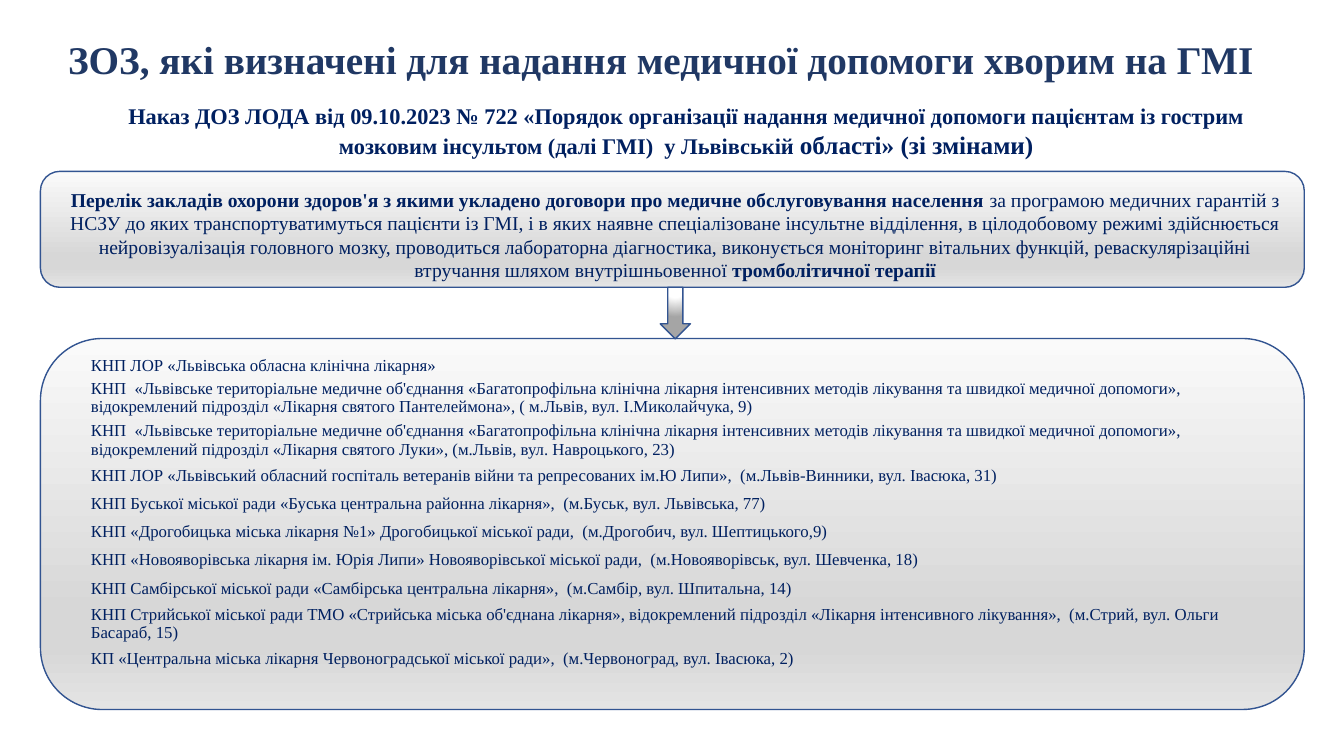
from dataclasses import dataclass

from lxml import etree
from pptx import Presentation
from pptx.dml.color import RGBColor
from pptx.enum import shapes, text
from pptx.oxml.ns import qn
from pptx.util import Cm, Pt


@dataclass(frozen=True)
class Theme:
    font: str = "Times New Roman"
    heading: str = "203864"
    body: str = "002060"
    outline: str = "325491"
    panel: tuple = ((0, "FAFAFA"), (74, "D7D7D7"), (83, "D7D7D7"), (100, "E4E4E4"))
    arrow: tuple = ((0, "FFFFFF"), (35, "FFFFFF"), (100, "A5A5A5"))
    title_size: int = 28
    order_size: int = 16
    order_end_size: int = 18
    criteria_size: int = 14
    table_size: int = 12


THEME = Theme()
PLAIN_TABLE_STYLE = "{2D5ABB26-0587-4C30-8999-92F81FD0307C}"
ONE_LINE, SPACED_LINE, TWO_LINES = 0.36, 0.71, 1.07

TITLE = "ЗОЗ, які визначені для надання медичної допомоги хворим на ГМІ"
ORDER = (
    "Наказ ДОЗ ЛОДА від 09.10.2023 № 722 «Порядок організації надання медичної допомоги "
    "пацієнтам із гострим мозковим інсультом (далі ГМІ)  у Львівській ")
ORDER_END = "області» (зі змінами)"
CRITERIA_LEAD = (
    "Перелік закладів охорони здоров'я з якими укладено договори "
    "про медичне обслуговування населення ")
CRITERIA = (
    "за програмою медичних гарантій з НСЗУ до яких транспортуватимуться пацієнти із ГМІ, "
    "і в яких наявне спеціалізоване інсультне відділення, в цілодобовому режимі здійснюється "
    "нейровізуалізація головного мозку, проводиться лабораторна діагностика, виконується "
    "моніторинг вітальних функцій, реваскулярізаційні втручання шляхом внутрішньовенної ")
CRITERIA_END = "тромболітичної терапії"
UNION = (
    "КНП  «Львівське територіальне медичне об'єднання «Багатопрофільна клінічна лікарня "
    "інтенсивних методів лікування та швидкої медичної допомоги», ")
HOSPITALS = [
    (ONE_LINE, "КНП ЛОР «Львівська обласна клінічна лікарня»"),
    (TWO_LINES, UNION + " відокремлений підрозділ «Лікарня святого Пантелеймона», "
                        "( м.Львів, вул. І.Миколайчука, 9)"),
    (TWO_LINES, UNION + "відокремлений підрозділ «Лікарня святого Луки», "
                        "(м.Львів, вул. Навроцького, 23)"),
    (SPACED_LINE, "КНП ЛОР «Львівський обласний госпіталь ветеранів війни та репресованих "
                  "ім.Ю Липи»,  (м.Львів-Винники, вул. Івасюка, 31)"),
    (SPACED_LINE, "КНП Буської міської ради «Буська центральна районна лікарня»,  "
                  "(м.Буськ, вул. Львівська, 77)"),
    (SPACED_LINE, "КНП «Дрогобицька міська лікарня №1» Дрогобицької міської ради,  "
                  "(м.Дрогобич, вул. Шептицького,9)"),
    (SPACED_LINE, "КНП «Новояворівська лікарня ім. Юрія Липи» Новояворівської міської ради,  "
                  "(м.Новояворівськ, вул. Шевченка, 18)"),
    (SPACED_LINE, "КНП Самбірської міської ради «Самбірська центральна лікарня»,  "
                  "(м.Самбір, вул. Шпитальна, 14)"),
    (TWO_LINES, "КНП Стрийської міської ради ТМО «Стрийська міська об'єднана лікарня», "
                "відокремлений підрозділ «Лікарня інтенсивного лікування»,  "
                "(м.Стрий, вул. Ольги Басараб, 15)"),
    (SPACED_LINE, "КП «Центральна міська лікарня Червоноградської міської ради»,  "
                  "(м.Червоноград, вул. Івасюка, 2)"),
]


def set_font(font, size, color):
    font.name = THEME.font
    font.size = Pt(size)
    font.color.rgb = RGBColor.from_string(color)


def set_gradient(shape, stops, circular):
    shape.fill.gradient()
    gradient = shape.element.spPr.find(qn("a:gradFill"))
    for child in list(gradient):
        gradient.remove(child)
    stop_list = etree.SubElement(gradient, qn("a:gsLst"))
    for position, color in stops:
        stop = etree.SubElement(stop_list, qn("a:gs"), pos=str(position * 1000))
        etree.SubElement(stop, qn("a:srgbClr"), val=color)
    if circular:
        circle = etree.SubElement(gradient, qn("a:path"), path="circle")
        etree.SubElement(circle, qn("a:fillToRect"),
                         l="50000", t="-80000", r="50000", b="180000")
    else:
        etree.SubElement(gradient, qn("a:lin"), ang="5400000", scaled="0")


def add_gradient_shape(slide, kind, box, stops, circular=False):
    shape = slide.shapes.add_shape(kind, *map(Cm, box))
    shape.shadow.inherit = False
    set_gradient(shape, stops, circular)
    shape.line.color.rgb = RGBColor.from_string(THEME.outline)
    shape.line.width = Pt(1)


def add_centred_text(slide, box, size, color, runs):
    """Each run is (text, bold, own size or None)."""
    frame = slide.shapes.add_textbox(*map(Cm, box)).text_frame
    frame.word_wrap = True
    paragraph = frame.paragraphs[0]
    paragraph.alignment = text.PP_ALIGN.CENTER
    set_font(paragraph.font, size, color)
    for words, bold, own_size in runs:
        run = paragraph.add_run()
        run.text = words
        run.font.bold = bold
        if own_size:
            run.font.size = Pt(own_size)
    return frame


def add_hospital_table(slide, left, top, width):
    height = sum(row_height for row_height, _ in HOSPITALS)
    table = slide.shapes.add_table(
        len(HOSPITALS), 1, Cm(left), Cm(top), Cm(width), Cm(height)).table
    table.first_row = table.horz_banding = False
    table._tbl.tblPr.find(qn("a:tableStyleId")).text = PLAIN_TABLE_STYLE
    for row, (row_height, hospital) in zip(table.rows, HOSPITALS):
        row.height = Cm(row_height)
        cell = row.cells[0]
        cell.fill.background()
        cell.margin_left = cell.margin_right = cell.margin_top = Cm(0.03)
        cell.margin_bottom = 0
        cell.vertical_anchor = text.MSO_ANCHOR.MIDDLE
        cell.text = hospital
        set_font(cell.text_frame.paragraphs[0].font, THEME.table_size, THEME.body)


def main():
    deck = Presentation()
    deck.slide_width, deck.slide_height = Cm(33.87), Cm(19.05)
    slide = deck.slides.add_slide(deck.slide_layouts[6])

    # Panels behind the criteria and the hospital list
    panel = shapes.MSO_SHAPE.ROUNDED_RECTANGLE
    add_gradient_shape(slide, panel, (1.02, 8.53, 31.85, 9.35), THEME.panel)
    add_gradient_shape(slide, panel, (1.02, 4.32, 31.85, 2.92), THEME.panel)

    # Title and the order it rests on
    title = add_centred_text(slide, (0.33, 0.48, 32.64, 2.13), THEME.title_size,
                             THEME.heading, [(TITLE, True, None)])
    title.vertical_anchor = text.MSO_ANCHOR.MIDDLE
    title.margin_left = title.margin_right = title.margin_top = title.margin_bottom = Cm(0.1)
    title.paragraphs[0].line_spacing = 0.9
    add_centred_text(slide, (1.75, 2.46, 31.09, 1.7), THEME.order_size, THEME.body,
                     [(ORDER, True, None), (ORDER_END, True, THEME.order_end_size)])

    # Criteria, leading down to the hospitals
    add_centred_text(slide, (1.17, 4.6, 31.7, 2.64), THEME.criteria_size, THEME.body,
                     [(CRITERIA_LEAD, True, None), (CRITERIA, False, None),
                      (CRITERIA_END, True, None)])
    add_gradient_shape(slide, shapes.MSO_SHAPE.DOWN_ARROW, (16.64, 7.24, 0.76, 1.3),
                       THEME.arrow, circular=True)
    add_hospital_table(slide, 2.26, 8.94, 29.49)

    deck.save("out.pptx")


if __name__ == "__main__":
    main()
